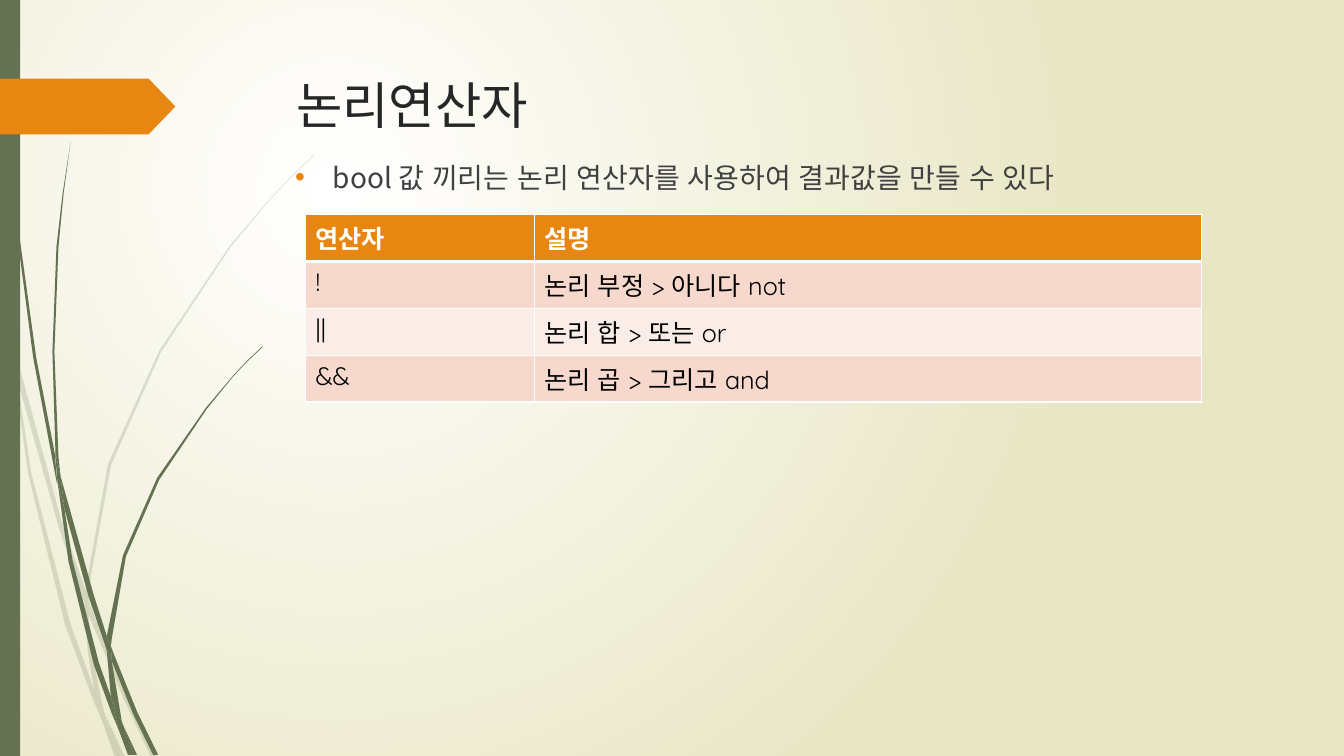
from lxml.etree import SubElement
from pptx import Presentation
from pptx.dml.color import RGBColor
from pptx.enum.lang import MSO_LANGUAGE_ID as LANG
from pptx.enum.shapes import MSO_SHAPE as SHAPE
from pptx.enum.text import MSO_ANCHOR as ANCHOR, PP_ALIGN as ALIGN
from pptx.oxml.ns import qn
from pptx.util import Cm, Pt

COLORS = {
    "white": "FFFFFF", "sand": "E8E6C4", "green": "647252", "orange": "E78712",
    "title": "262626", "body": "404040", "black": "000000",
    "band_dark": "F6D9CC", "band_light": "FAEDE7",
}
KOREAN, LATIN = "Noto Sans CJK KR", "Quicksand"
GRASS_UNIT = Cm(2.54) / 100

PALE_GRASS = [
    [(11, 350), (9, 322), (0, 282), (0, 299), (10, 344)],
    [(58, 522), (84, 599), (85, 586), (62, 520), (14, 345), (17, 376)],
    [(92, 607), (88, 596), (88, 610), (123, 694), (150, 751), (155, 751), (127, 692)],
    [(119, 751), (124, 751), (105, 711)],
    [(93, 683), (70, 619), (31, 469), (17, 376), (11, 350), (28, 470),
     (65, 621), (92, 693), (101, 714), (99, 707)],
    [(84, 599), (87, 646), (93, 683), (96, 692), (105, 711), (103, 706),
     (91, 646), (88, 610), (88, 608)],
    [(88, 584), (110, 462), (160, 349), (229, 245), (268, 198), (290, 175),
     (312, 154), (312, 153), (289, 175), (268, 197), (228, 244), (158, 348),
     (107, 461), (85, 584), (85, 586), (88, 596)],
    [(101, 714), (114, 751), (119, 751)],
    [(88, 608), (88, 610), (88, 596), (85, 586), (84, 599)],
    [(96, 692), (93, 683), (99, 707), (101, 714), (119, 751), (105, 711)],
]
DARK_GRASS = [
    [(7, 110), (17, 233), (33, 355), (56, 477), (57, 481), (55, 457), (55, 453),
     (36, 355), (19, 232), (8, 109), (5, 48), (4, 0), (3, 0), (4, 48)],
    [(88, 592), (106, 645), (106, 633), (106, 631), (93, 590), (60, 472), (64, 505)],
    [(113, 649), (110, 641), (111, 656), (132, 708), (152, 749), (157, 749), (136, 706)],
    [(110, 691), (98, 657), (72, 556), (64, 505), (57, 477), (68, 557),
     (93, 659), (111, 708), (117, 722), (116, 717)],
    [(60, 472), (58, 453), (54, 349), (58, 245), (63, 193), (70, 141),
     (62, 193), (56, 245), (52, 349), (55, 449)],
    [(133, 749), (136, 749), (122, 719)],
    [(57, 477), (64, 505), (60, 472), (55, 449), (55, 453)],
    [(111, 633), (125, 552), (158, 476), (205, 406), (231, 374), (245, 359),
     (261, 344), (260, 344), (245, 358), (231, 373), (204, 405), (156, 474),
     (122, 551), (106, 631), (110, 641)],
    [(117, 722), (127, 749), (131, 749)],
    [(106, 645), (110, 691), (116, 706), (122, 719), (121, 716), (111, 656), (109, 651)],
    [(106, 645), (109, 651), (111, 656), (110, 641), (106, 631), (106, 633)],
    [(116, 706), (110, 691), (116, 717), (117, 722), (130, 749), (133, 749), (122, 719)],
]
OPERATORS = [
    ("연산자", "설명"),
    ("!", "논리 부정 > 아니다 not"),
    ("||", "논리 합 > 또는 or"),
    ("&&", "논리 곱 > 그리고 and"),
]


def rgb(name):
    return RGBColor.from_string(COLORS[name])


def paint(sp, color, alpha=None):
    sp.shadow.inherit = False
    sp.fill.solid()
    sp.fill.fore_color.rgb = rgb(color)
    sp.line.fill.background()
    if alpha:
        clr = sp.element.spPr.find(qn("a:solidFill")).find(qn("a:srgbClr"))
        SubElement(clr, qn("a:alpha"), val=str(alpha * 1000))


def format_runs(p, size, color, latin=KOREAN, bold=False):
    for r in p.runs:
        r.font.size = Pt(size)
        r.font.bold = bold
        r.font.name = latin
        r.font.language_id = LANG.KOREAN
        r.font.color.rgb = rgb(color)
        SubElement(r.font._element, qn("a:ea"), typeface=KOREAN)


def set_background(slide):
    fill = slide.background.fill
    fill.gradient()
    for stop, color in zip(fill.gradient_stops, ("white", "sand")):
        stop.color.rgb = rgb(color)
    grad = slide.element.find(".//" + qn("a:gradFill"))
    grad.remove(grad.find(qn("a:lin")))
    radial = SubElement(grad, qn("a:path"), path="circle")
    SubElement(radial, qn("a:fillToRect"), l="50000", t="50000", r="100000", b="100000")


def add_grass(slide, pieces, alpha=None):
    for outline in pieces:
        builder = slide.shapes.build_freeform(*outline[0], scale=GRASS_UNIT)
        builder.add_line_segments(outline[1:])
        paint(builder.convert_to_shape(), "green", alpha)


def add_block(slide, kind, box, color):
    sp = slide.shapes.add_shape(kind, *map(Cm, box))
    paint(sp, color)
    return sp


def set_title(slide, text):
    sp = slide.shapes.title
    sp.left, sp.top, sp.width, sp.height = map(Cm, (7.21, 1.73, 24.77, 3.56))
    tf = sp.text_frame
    tf.text = text
    tf.vertical_anchor = ANCHOR.TOP
    p = tf.paragraphs[0]
    p.alignment = ALIGN.LEFT
    format_runs(p, 36, "title")


def add_bullet(slide, text):
    tf = slide.shapes.add_textbox(*map(Cm, (7.19, 3.91, 24.77, 12.52))).text_frame
    tf.word_wrap = True
    p = tf.paragraphs[0]
    p.text = text
    pPr = p._p.get_or_add_pPr()
    pPr.set("marL", str(Cm(.95)))
    pPr.set("indent", str(-Cm(.95)))
    SubElement(SubElement(pPr, qn("a:buClr")), qn("a:srgbClr"), val=COLORS["orange"])
    SubElement(pPr, qn("a:buFont"), typeface="Arial")
    SubElement(pPr, qn("a:buChar"), char="•")
    format_runs(p, 20, "body")


def add_borders(cell, bottom):
    tcPr = cell._tc.get_or_add_tcPr()
    for i, (side, width) in enumerate((("L", 1), ("R", 1), ("T", 1), ("B", bottom))):
        ln = tcPr.makeelement(qn("a:ln" + side), {"w": str(Pt(width))})
        SubElement(SubElement(ln, qn("a:solidFill")), qn("a:srgbClr"), val=COLORS["white"])
        tcPr.insert(i, ln)


def add_operator_table(slide, rows):
    frame = slide.shapes.add_table(len(rows), 2, *map(Cm, (7.7, 5.41, 22.58, 4.72)))
    table = frame.table
    for column, width in zip(table.columns, (5.77, 16.81)):
        column.width = Cm(width)
    for i, row in enumerate(rows):
        table.rows[i].height = Cm(1.18)
        header = i == 0
        fill = "orange" if header else ("band_light", "band_dark")[i % 2]
        for j, text in enumerate(row):
            cell = table.cell(i, j)
            cell.fill.solid()
            cell.fill.fore_color.rgb = rgb(fill)
            if header:
                add_borders(cell, 3)
            elif i > 1:
                add_borders(cell, 1)
            cell.text_frame.text = text
            format_runs(cell.text_frame.paragraphs[0], 18,
                        "white" if header else "black", LATIN, header)


def main():
    prs = Presentation()
    prs.slide_width, prs.slide_height = Cm(33.87), Cm(19.05)
    slide = prs.slides.add_slide(prs.slide_layouts[5])
    set_background(slide)
    add_grass(slide, PALE_GRASS, 20)
    add_grass(slide, DARK_GRASS)
    add_block(slide, SHAPE.RECTANGLE, (0, 0, .51, 19.05), "green")
    arrow = add_block(slide, SHAPE.PENTAGON, (0, 1.98, 4.42, 1.41), "orange")
    arrow.adjustments[0] = .48
    set_title(slide, "논리연산자")
    add_bullet(slide, "bool 값 끼리는 논리 연산자를 사용하여 결과값을 만들 수 있다")
    add_operator_table(slide, OPERATORS)
    prs.save("out.pptx")


if __name__ == "__main__":
    main()
